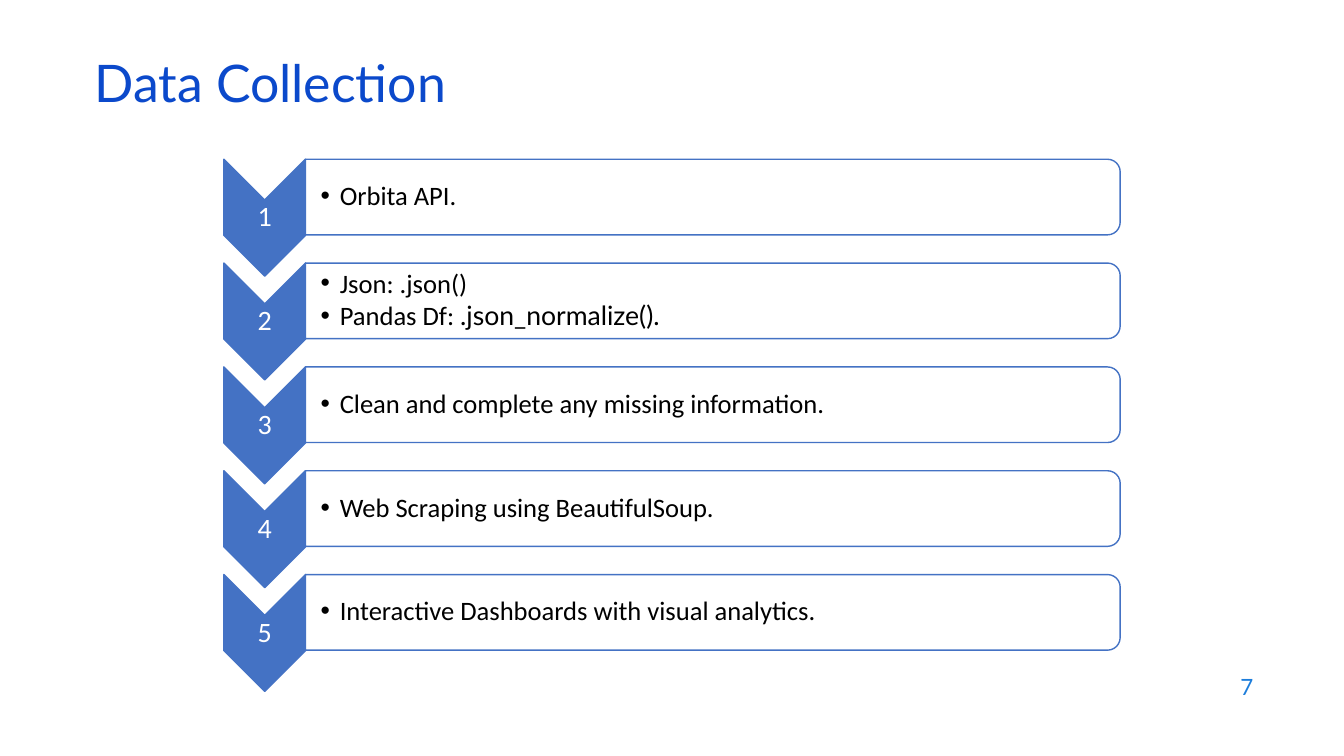
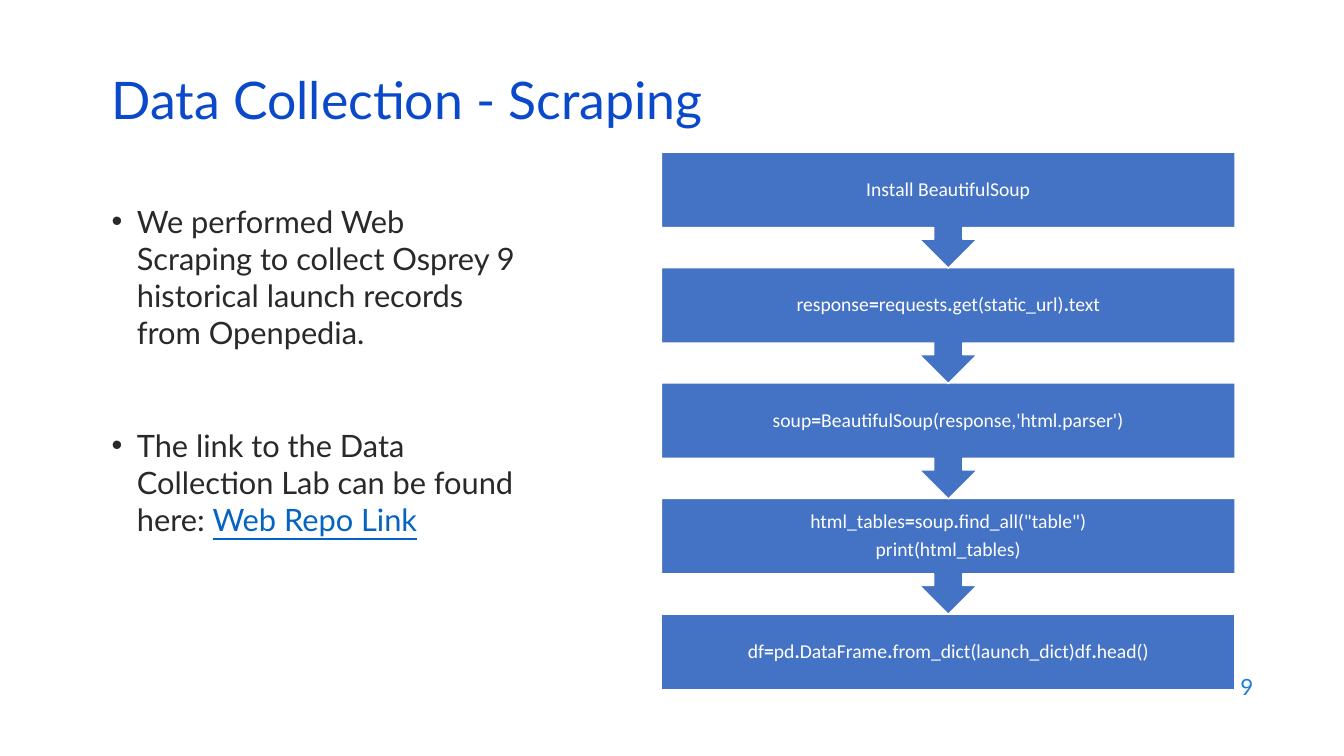
from pptx import Presentation
from pptx.dml.color import RGBColor
from pptx.enum.shapes import MSO_SHAPE as Shape
from pptx.enum.text import MSO_ANCHOR as Anchor, PP_ALIGN as Align
from pptx.oxml.ns import qn
from pptx.util import Inches, Pt
from lxml.etree import SubElement

BLUE, WHITE, BLACK = "4472C4", "FFFFFF", "000000"
TITLE, PAGE, BODY, LINK = "0B49CB", "1C7DDB", "292929", "0563C1"
HEAD, PLAIN = "Lato", "Calibri"


def color(code):
    return RGBColor.from_string(code)


def style(font, size, name, ink, bold=False, line=False):
    font.size, font.name, font.bold = Pt(size), name, bold
    font.color.rgb = color(ink)
    if line:
        font.underline = True


def bullet(para, indent):
    props = para._p.get_or_add_pPr()
    props.set("marL", str(Inches(indent)))
    props.set("indent", str(-Inches(indent)))
    SubElement(props, qn("a:buFont")).set("typeface", "Arial")
    SubElement(props, qn("a:buChar")).set("char", "•")


def text(slide, box, paras, size=18, name=PLAIN, ink=BLACK, align=Align.LEFT,
         anchor=Anchor.MIDDLE, pad=(0.1, 0.05, 0.1, 0.05), lead=None,
         before=0, after=0, indent=0, alt=None):
    """Parts of a paragraph split by | take the base and alt format in turn."""
    frame = slide.shapes.add_textbox(*map(Inches, box)).text_frame
    frame.word_wrap, frame.vertical_anchor = True, anchor
    (frame.margin_left, frame.margin_top,
     frame.margin_right, frame.margin_bottom) = map(Inches, pad)
    base = dict(size=size, name=name, ink=ink)
    for i, line in enumerate(paras):
        para = frame.add_paragraph() if i else frame.paragraphs[0]
        if indent:
            bullet(para, indent)
        para.alignment = align
        para.space_before, para.space_after = Pt(before if i else 0), Pt(after)
        if lead:
            para.line_spacing = lead
        for j, part in enumerate(line.split("|")):
            run = para.add_run()
            run.text = part
            style(run.font, **{**base, **((alt or {}) if j % 2 else {})})


def shape(slide, kind, box, fill, line, turn=0):
    x, y, w, h = box
    if turn == 90:
        x, y, w, h = x + (w - h) / 2, y + (h - w) / 2, h, w
    item = slide.shapes.add_shape(kind, *map(Inches, (x, y, w, h)))
    item.rotation = turn
    item.shadow.inherit = False
    item.fill.solid()
    item.fill.fore_color.rgb = color(fill)
    item.line.color.rgb = color(line)
    item.line.width = Pt(1)


def base(deck, title, spot, page):
    slide = deck.slides.add_slide(deck.slide_layouts[6])
    text(slide, (9.53, 6.59, 3, 0.44), [page], size=16, name=HEAD, ink=PAGE,
         align=Align.RIGHT)
    text(slide, (*spot, 11.5, 0.6), [title], size=37, name=HEAD, ink=TITLE,
         lead=0.7)
    return slide


def steps(slide, box, pitch, rows):
    left, top, width, high = box
    wide, tall = 0.81, 1.16
    pad = (0.01,) * 4
    for i, lines in enumerate(rows):
        y = top + i * pitch
        shape(slide, Shape.CHEVRON, (left, y, wide, tall), BLUE, BLUE, 90)
        text(slide, (left, y + wide / 2, wide, tall - wide), [str(i + 1)],
             size=20, ink=WHITE, align=Align.CENTER, pad=pad, lead=0.9)
        bar = (left + wide, y, width - wide, high)
        shape(slide, Shape.ROUND_2_SAME_RECTANGLE, bar, WHITE, BLUE, 90)
        text(slide, bar, lines, size=19, pad=(0.15, *pad[1:]), lead=0.9,
             after=3, indent=0.19, alt=dict(name=HEAD))


def flow(slide, box, pitch, rows):
    left, top, width, high = box
    last = len(rows) - 1
    for i, lines in reversed(list(enumerate(rows))):
        y = top + i * pitch
        if i == last:
            shape(slide, Shape.RECTANGLE, (left, y, width, high), BLUE, WHITE)
        else:
            shape(slide, Shape.UP_ARROW_CALLOUT, (left, y, width, 1.15),
                  BLUE, WHITE, 180)
        text(slide, (left, y, width, high), lines, size=14, ink=WHITE,
             align=Align.CENTER, pad=(0.11,) * 4, lead=0.9, after=5,
             alt=dict(bold=True))


def collect(deck):
    slide = base(deck, "Data Collection", (0.84, 0.59), "7")
    steps(slide, (2.22, 1.58, 8.89, 0.75), 1.03, [
        ["Orbita API."],
        ["Json: .json()", "Pandas Df: |.json_normalize()."],
        ["Clean and complete any missing information."],
        ["Web Scraping using BeautifulSoup."],
        ["Interactive Dashboards with visual analytics."],
    ])


def scrape(deck):
    slide = base(deck, "Data Collection - Scraping", (1.01, 0.76), "9")
    text(slide, (1.01, 1.96, 4.3, 4.17), [
        "We performed Web Scraping to collect Osprey 9 historical launch "
        "records from Openpedia.",
        "The link to the Data Collection Lab can be found here: "
        "|Web Repo Link",
    ], size=22, name=HEAD, ink=BODY, anchor=Anchor.TOP, before=54.4,
        indent=0.25, alt=dict(ink=LINK, line=True))
    flow(slide, (6.56, 1.51, 5.69, 0.75), 1.145, [
        ["Install BeautifulSoup"],
        ["response|=|requests|.|get(static_url)|.|text"],
        ["soup|=|BeautifulSoup(response,'html.parser')"],
        ['html_tables|=|soup|.|find_all("table")', "print(html_tables)"],
        ["df|=|pd|.|DataFrame|.|from_dict(launch_dict)df|.|head()"],
    ])


def main():
    deck = Presentation()
    deck.slide_width, deck.slide_height = Inches(13.33), Inches(7.5)
    collect(deck)
    scrape(deck)
    deck.save("out.pptx")


if __name__ == "__main__":
    main()
